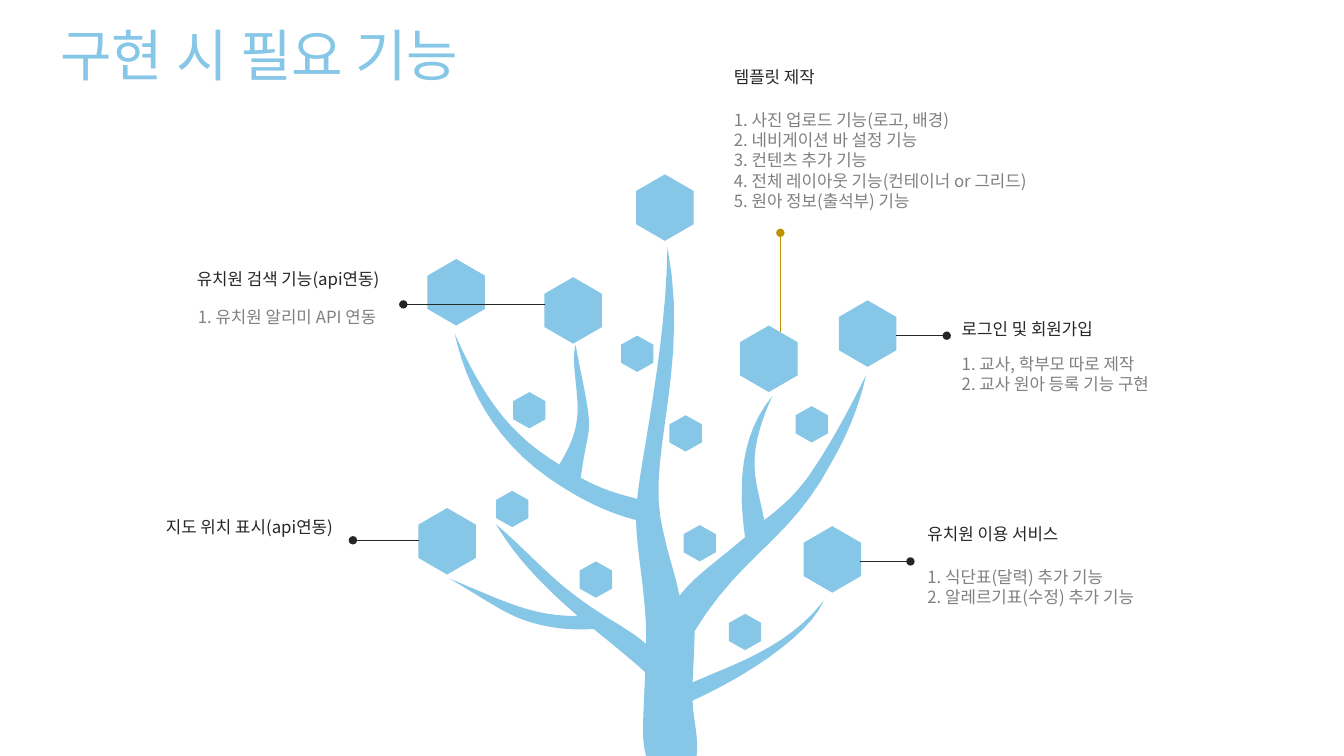
from lxml import etree
from pptx import Presentation
from pptx.dml.color import RGBColor
from pptx.enum.shapes import MSO_CONNECTOR
from pptx.enum.text import PP_ALIGN
from pptx.oxml.ns import qn
from pptx.util import Inches, Pt

BLUE = RGBColor(0x86, 0xC6, 0xE6)
DARK = RGBColor(0x26, 0x26, 0x26)
GRAY = RGBColor(0x80, 0x80, 0x80)
GOLD = RGBColor(0xBF, 0x90, 0x00)
FONT = "Noto Sans CJK KR"
CURVE_STEPS = 12

TREE_BOX = (4.15, 1.73, 4.74, 5.77)
TREE_START = (6.91, 7.5)
TREE_CURVES = [
    (6.41, 7.5, 6.41, 7.5, 6.41, 7.5), (6.36, 7.34, 6.38, 7.16, 6.4, 6.67),
    (6.25, 6.53, 6.07, 6.39, 5.89, 6.24), (5.69, 6.25, 5.57, 6.24, 5.41, 6.21),
    (5.07, 6.14, 4.95, 6.03, 4.46, 5.74), (4.99, 5.96, 5.29, 6.12, 5.73, 6.11),
    (5.43, 5.85, 5.13, 5.56, 4.92, 5.2), (5.39, 5.61, 5.5, 5.82, 6.16, 6.21),
    (6.23, 6.26, 6.31, 6.3, 6.41, 6.39), (6.42, 5.95, 6.31, 5.46, 6.31, 5.16),
    (5.93, 5.06, 5.66, 4.89, 5.44, 4.74), (4.88, 4.35, 4.62, 3.8, 4.51, 3.31),
    (4.83, 4.03, 5.11, 4.34, 5.55, 4.61), (5.59, 4.52, 5.74, 4.33, 5.73, 4.02),
    (5.71, 3.69, 5.67, 3.58, 5.71, 3.42), (5.77, 3.77, 5.86, 4.09, 5.84, 4.27),
    (5.82, 4.41, 5.8, 4.46, 5.76, 4.74), (6.02, 4.88, 6.18, 4.91, 6.32, 4.95),
    (6.36, 4.53, 6.61, 3.44, 6.62, 2.45), (6.84, 3.58, 6.44, 4.48, 6.55, 5.13),
    (6.62, 5.51, 6.69, 5.66, 6.74, 5.91), (6.9, 5.71, 7.01, 5.65, 7.39, 5.33),
    (7.32, 4.81, 7.34, 4.32, 7.66, 3.93), (7.37, 4.57, 7.51, 4.77, 7.58, 5.16),
    (7.78, 5.01, 7.91, 4.88, 8.03, 4.71), (8.16, 4.52, 8.36, 4.2, 8.59, 3.72),
    (8.52, 4.05, 8.38, 4.36, 8.24, 4.6), (7.83, 5.37, 7.37, 5.48, 6.89, 6.26),
    (6.89, 6.37, 6.88, 6.56, 6.87, 6.77), (7.22, 6.61, 7.8, 6.44, 8.17, 5.96),
    (8.02, 6.32, 7.34, 6.74, 6.87, 6.95), (6.88, 7.19, 6.93, 7.28, 6.91, 7.5),
]
LARGE_LEAF = (0.57, 0.66)
LARGE_LEAVES = [(4.24, 2.57), (6.31, 1.73), (8.32, 2.98), (7.97, 5.22),
                (5.4, 2.75), (4.15, 5.04), (7.34, 3.23)]
SMALL_LEAF = (0.32, 0.36)
SMALL_LEAVES = [(7.23, 6.09), (5.09, 3.89), (6.16, 3.33), (6.78, 5.21),
                (4.92, 4.87), (7.89, 4.03), (5.75, 5.57), (6.64, 4.12)]

CALLOUTS = [
    dict(box=(9.1, 5.11, 3.41, 1.35), title="유치원 이용 서비스", list_gap=0.46,
         items=["1. 식단표(달력) 추가 기능", "2. 알레르기표(수정) 추가 기능"],
         line=(-0.57, 0.46, -0.07, 0.46)),
    dict(box=(9.44, 3.07, 3.41, 1.18), title="로그인 및 회원가입", list_gap=0.39,
         items=["1. 교사, 학부모 따로 제작", "2. 교사 원아 등록 기능 구현"],
         line=(-0.55, 0.26, -0.05, 0.26)),
    dict(box=(7.18, 0.57, 4.32, 1.79), title="템플릿 제작", list_gap=0.47,
         items=["1. 사진 업로드 기능(로고, 배경)", "2. 네비게이션 바 설정 기능",
                "3. 컨텐츠 추가 기능", "4. 전체 레이아웃 기능(컨테이너 or 그리드)",
                "5. 원아 정보(출석부) 기능"],
         line=(0.56, 2.72, 0.56, 1.74), color=GOLD),
    dict(box=(0.45, 2.58, 3.41, 0.62), title="유치원 검색 기능(api연동)", list_gap=0.37,
         items=["1. 유치원 알리미 API 연동"], list_spacing=1.2, list_shift=-0.03,
         line=(4.96, 0.44, 3.55, 0.44), align=PP_ALIGN.RIGHT),
    dict(box=(0.64, 5.04, 2.76, 0.51), title="지도 위치 표시(api연동)",
         line=(3.52, 0.32, 2.86, 0.32), align=PP_ALIGN.RIGHT),
]


def add_text(s, box, lines, size, color, align, spacing):
    tf = s.shapes.add_textbox(*map(Inches, box)).text_frame
    tf.word_wrap = True
    for i, line in enumerate(lines):
        p = tf.paragraphs[0] if i == 0 else tf.add_paragraph()
        p.text = line
        p.alignment = align
        p.line_spacing = spacing
        p.font.size = Pt(size)
        p.font.name = FONT
        p.font.color.rgb = color
        props = p._p.pPr.find(qn("a:defRPr"))
        etree.SubElement(props, qn("a:ea")).set("typeface", FONT)


def add_outline(s, points):
    corners = [(Inches(x), Inches(y)) for x, y in points]
    builder = s.shapes.build_freeform(*corners[0])
    builder.add_line_segments(corners[1:], close=True)
    sp = builder.convert_to_shape()
    sp.shadow.inherit = False
    sp.fill.solid()
    sp.fill.fore_color.rgb = BLUE
    sp.line.fill.background()


def add_leaf(s, box):
    x, y, w, h = box
    add_outline(s, [(x + w / 2, y), (x + w, y + h / 4), (x + w, y + h * 3 / 4),
                    (x + w / 2, y + h), (x, y + h * 3 / 4), (x, y + h / 4)])


def curve_point(t, *controls):
    a, b, c, d = controls
    u = 1 - t
    return u ** 3 * a + 3 * u * u * t * b + 3 * u * t * t * c + t ** 3 * d


def add_tree(s, box):
    left, top = box[:2]
    dx, dy = left - TREE_BOX[0], top - TREE_BOX[1]
    points = [TREE_START]
    for curve in TREE_CURVES:
        x0, y0 = points[-1]
        for step in range(1, CURVE_STEPS + 1):
            t = step / CURVE_STEPS
            points.append((curve_point(t, x0, *curve[::2]),
                           curve_point(t, y0, *curve[1::2])))
    add_outline(s, [(x + dx, y + dy) for x, y in points])
    for size, leaves in ((LARGE_LEAF, LARGE_LEAVES), (SMALL_LEAF, SMALL_LEAVES)):
        for x, y in leaves:
            add_leaf(s, (x + dx, y + dy, *size))


def add_pointer(s, ends, color):
    line = s.shapes.add_connector(MSO_CONNECTOR.STRAIGHT, *map(Inches, ends))
    line.line.color.rgb = color
    line.line.width = Pt(1)
    etree.SubElement(line.line._get_or_add_ln(), qn("a:tailEnd")).set("type", "oval")
    etree.SubElement(line._element.spPr, qn("a:effectLst"))


def add_callout(s, box, title, line, items=(), list_gap=0, list_spacing=1.0,
                list_shift=0, color=DARK, align=PP_ALIGN.LEFT):
    x, y, w, h = box
    x1, y1, x2, y2 = line
    add_pointer(s, (x + x1, y + y1, x + x2, y + y2), color)
    if items:
        add_text(s, (x + list_shift, y + list_gap, w, h - list_gap),
                 items, 12, GRAY, align, list_spacing)
    add_text(s, (x, y, w, 0.51), [title], 12, DARK, align, 1.2)


def add_title(s, box):
    add_text(s, box, ["구현 시 필요 기능"], 40, BLUE, PP_ALIGN.CENTER, 0.7)


def main():
    prs = Presentation()
    prs.slide_width, prs.slide_height = Inches(13.33), Inches(7.5)
    s = prs.slides.add_slide(prs.slide_layouts[6])
    add_tree(s, TREE_BOX)
    for callout in CALLOUTS:
        add_callout(s, **callout)
    add_title(s, (0.06, 0.34, 5.03, 0.37))
    prs.save("out.pptx")


if __name__ == "__main__":
    main()
